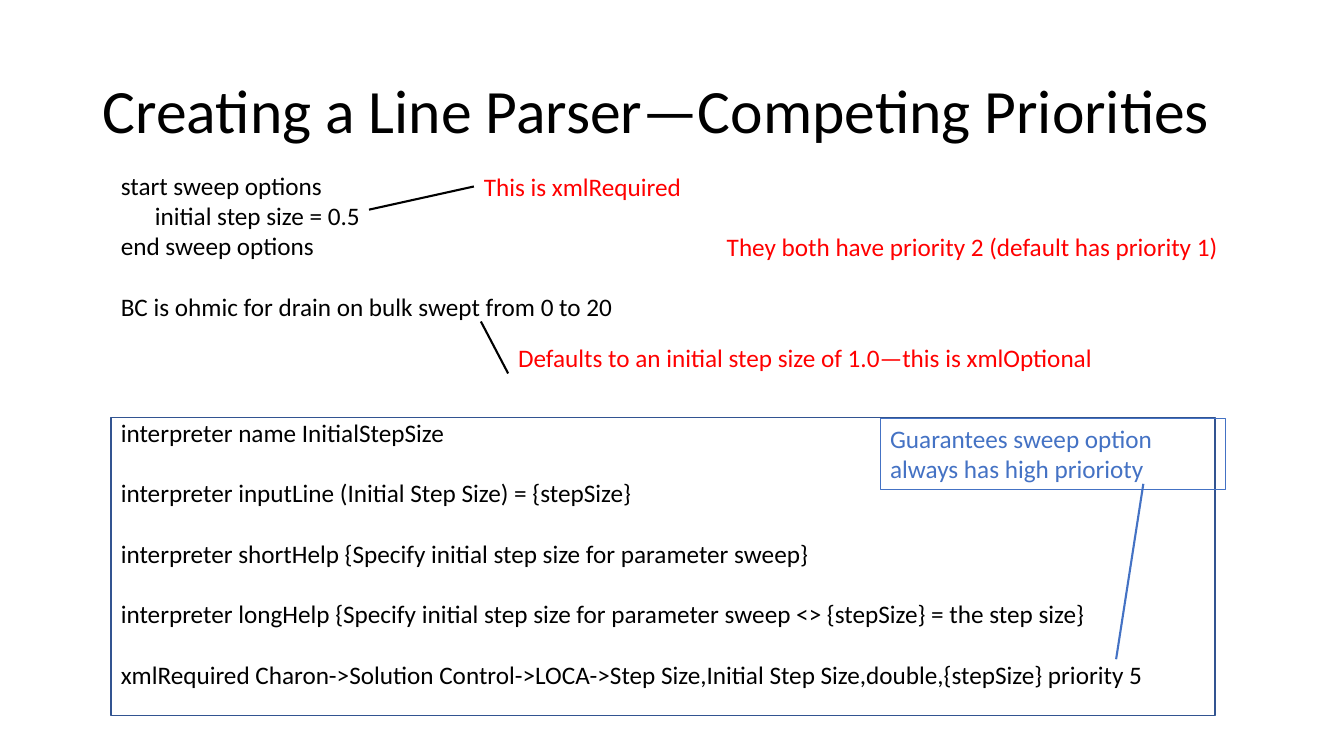
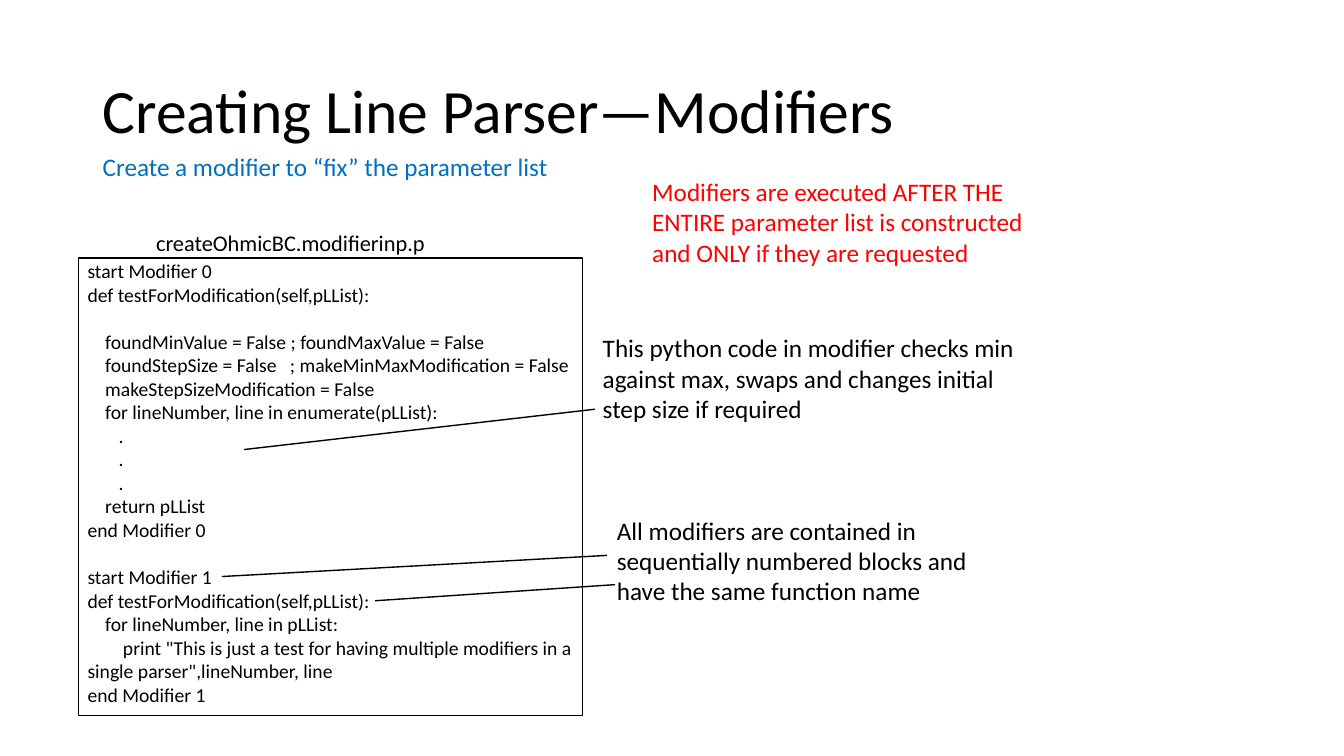
from lxml import etree
from pptx import Presentation
from pptx.dml.color import RGBColor
from pptx.enum.shapes import MSO_CONNECTOR, MSO_SHAPE
from pptx.enum.text import MSO_ANCHOR, PP_ALIGN
from pptx.oxml.ns import qn
from pptx.util import Inches, Pt

STRAIGHT = MSO_CONNECTOR.STRAIGHT
RECTANGLE = MSO_SHAPE.RECTANGLE
TOP, MIDDLE = MSO_ANCHOR.TOP, MSO_ANCHOR.MIDDLE
LEFT = PP_ALIGN.LEFT
LEFT_SIDE = 1

FONT = "Calibri"
COLORS = {
    "black": "000000",
    "red": "FF0000",
    "blue": "4472C4",
    "dark_blue": "325491",
    "sky": "0070C0",
}

# Each inner list is a block of lines; blocks are set one line apart
SWEEP_INPUT = [
    ["start sweep options",
     "      initial step size = 0.5",
     "end sweep options"],
    ["BC is ohmic for drain on bulk swept from 0 to 20"],
]
INTERPRETER = [
    ["interpreter name InitialStepSize"],
    ["interpreter inputLine (Initial Step Size) = {stepSize}"],
    ["interpreter shortHelp {Specify initial step size for parameter sweep}"],
    ["interpreter longHelp {Specify initial step size for parameter sweep "
     "<> {stepSize} = the step size}"],
    ["xmlRequired Charon->Solution Control->LOCA->Step Size,"
     "Initial Step Size,double,{stepSize} priority 5"],
]
MODIFIERS = [
    ["start Modifier 0",
     "def testForModification(self,pLList):"],
    ["    foundMinValue = False ; foundMaxValue = False",
     "    foundStepSize = False   ; makeMinMaxModification = False",
     "    makeStepSizeModification = False",
     "    for lineNumber, line in enumerate(pLList):",
     "       .",
     "       .",
     "       .",
     "    return pLList",
     "end Modifier 0"],
    ["start Modifier 1",
     "def testForModification(self,pLList):",
     "    for lineNumber, line in pLList:",
     "        print \"This is just a test for having multiple modifiers "
     "in a single parser\",lineNumber, line",
     "end Modifier 1"],
]


def rgb(name):
    return RGBColor.from_string(COLORS[name])


def write_blocks(frame, blocks, size, color):
    """Fill a text frame, leaving one line's height between blocks."""
    para = None
    for block_number, block in enumerate(blocks):
        for line_number, line in enumerate(block):
            para = frame.add_paragraph() if para else frame.paragraphs[0]
            para.alignment = LEFT
            if block_number and not line_number:
                para.space_before = Pt(size * 1.2)
            span = para.add_run()
            span.text = line
            span.font.name = FONT
            span.font.size = Pt(size)
            span.font.color.rgb = rgb(color)


def add_text(page, bounds, blocks, color="black", size=18, wrap=True):
    box = page.shapes.add_textbox(*map(Inches, bounds))
    box.text_frame.word_wrap = wrap
    write_blocks(box.text_frame, blocks, size, color)
    return box


def add_note(page, bounds, text, color="black", size=18, wrap=True):
    return add_text(page, bounds, [[text]], color, size, wrap)


def add_title(page, text):
    box = add_note(page, (0.92, 0.4, 11.5, 1.45), text, size=44)
    box.text_frame.vertical_anchor = MIDDLE
    box.text_frame.paragraphs[0].line_spacing = 0.9


def add_frame(page, bounds, color, width=1):
    frame = page.shapes.add_shape(RECTANGLE, *map(Inches, bounds))
    frame.shadow.inherit = False
    frame.fill.background()
    frame.line.color.rgb = rgb(color)
    frame.line.width = Pt(width)
    return frame


def add_pointer(page, start, end, color="black", width=1, target=None):
    pointer = page.shapes.add_connector(STRAIGHT, *map(Inches, start + end))
    pointer.line.color.rgb = rgb(color)
    pointer.line.width = Pt(width)
    etree.SubElement(pointer._element.spPr, qn("a:effectLst"))
    if target is not None:
        pointer.end_connect(target, LEFT_SIDE)


def build_priorities(page):
    add_title(page, "Creating a Line Parser—Competing Priorities")

    # Sweep input with its red remarks
    add_text(page, (1.1, 1.64, 5.13, 1.62), SWEEP_INPUT)
    optional = add_note(
        page, (5.04, 3.35, 6.18, 0.71),
        "Defaults to an initial step size of 1.0—this is xmlOptional",
        "red", wrap=False)
    add_pointer(page, (4.77, 3.19), (5.04, 3.7), width=1.5, target=optional)
    required = add_note(page, (4.7, 1.65, 2.18, 0.4), "This is xmlRequired",
                        "red", wrap=False)
    add_pointer(page, (3.66, 2.08), (4.7, 1.85), width=1.5, target=required)
    add_note(page, (7.11, 2.25, 5.13, 0.4),
             "They both have priority 2 (default has priority 1)",
             "red", wrap=False)

    # Interpreter listing with its callout
    add_text(page, (1.1, 4.09, 11.73, 3.4), INTERPRETER)
    add_frame(page, (1.1, 4.14, 10.95, 2.96), "dark_blue")
    callout = add_frame(page, (8.73, 4.15, 3.43, 0.71), "blue", 0.75)
    callout.text_frame.word_wrap = True
    callout.text_frame.vertical_anchor = TOP
    write_blocks(callout.text_frame,
                 [["Guarantees sweep option always has high priorioty"]],
                 18, "blue")
    add_pointer(page, (11.34, 4.8), (11.07, 6.54), "blue", 1.5)


def build_modifiers(page):
    add_title(page, "Creating Line Parser—Modifiers")
    add_note(page, (0.92, 1.45, 4.67, 0.4),
             "Create a modifier to “fix” the parameter list",
             "sky", wrap=False)

    # Modifier file listing
    add_text(page, (0.77, 2.52, 5.43, 4.58), MODIFIERS, size=14)
    add_frame(page, (0.78, 2.56, 5, 4.54), "black")
    add_note(page, (1.45, 2.22, 2.9, 0.37), "createOhmicBC.modifierinp.p",
             size=16, wrap=False)

    # Remarks and their pointers
    add_note(page, (5.88, 3.25, 4.43, 1.01),
             "This python code in modifier checks min against max, swaps "
             "and changes initial step size if required")
    add_note(page, (6.02, 5.06, 3.84, 1.01),
             "All modifiers are contained in sequentially numbered blocks "
             "and have the same function name")
    add_note(page, (6.37, 1.7, 4.12, 1.01),
             "Modifiers are executed AFTER THE ENTIRE parameter list is "
             "constructed and ONLY if they are requested", "red")
    for start, end in [((5.9, 4.06), (2.42, 4.46)),
                       ((6.02, 5.51), (2.2, 5.72)),
                       ((6.1, 5.8), (3.72, 5.96))]:
        add_pointer(page, start, end)


def main():
    deck = Presentation()
    deck.slide_width = Inches(13.33)
    deck.slide_height = Inches(7.5)
    blank = deck.slide_layouts[6]
    for build in (build_priorities, build_modifiers):
        build(deck.slides.add_slide(blank))
    deck.save("out.pptx")


if __name__ == "__main__":
    main()
